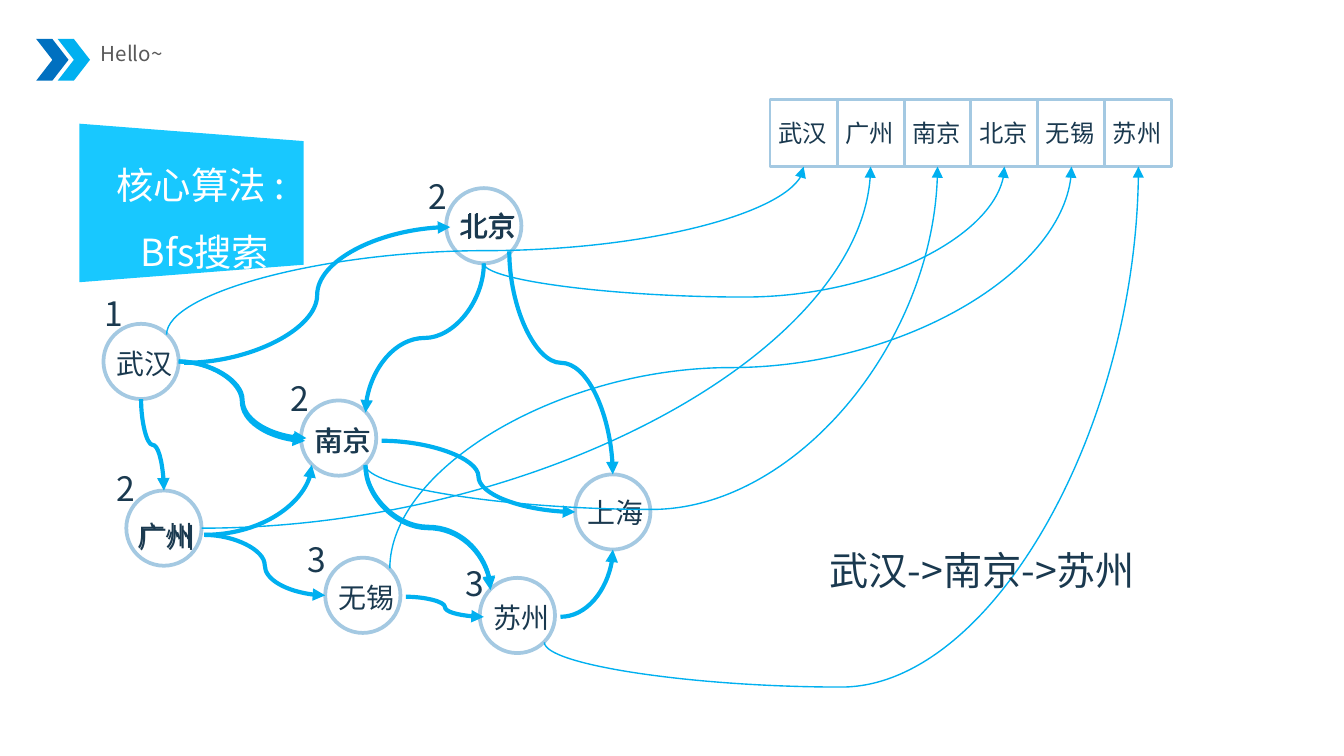
from lxml import etree
from pptx import Presentation
from pptx.dml.color import RGBColor
from pptx.enum.shapes import MSO_CONNECTOR, MSO_SHAPE
from pptx.enum.text import MSO_ANCHOR, MSO_AUTO_SIZE, PP_ALIGN
from pptx.oxml.ns import qn
from pptx.util import Inches, Pt

CURVE = MSO_CONNECTOR.CURVE
CHEVRON, OVAL, SQUARE = MSO_SHAPE.CHEVRON, MSO_SHAPE.OVAL, MSO_SHAPE.RECTANGLE
MIDDLE, LEFT, CENTER = MSO_ANCHOR.MIDDLE, PP_ALIGN.LEFT, PP_ALIGN.CENTER
FONT = "Noto Sans CJK SC"
COLORS = {"ink": "1A394F", "grey": "595959", "white": "FFFFFF", "outline": "A4C9E2",
          "arrow": "00B0F0", "chevron": "0070C0", "banner": "18C8FF"}

HEADING = "Hello~"
BANNER_LINES = ["核心算法 : ", "Bfs搜索"]
BANNER_CORNERS = [(0.59, 0.92), (2.26, 1.05), (2.26, 1.97), (0.59, 2.1)]
ROUTE = "武汉->南京->苏州"

# city: circle corner, label offset, step number, number offset
CITIES = {
    "南京": ((2.24, 2.98), (0.03, 0.13), "2", (-0.15, -0.21)),
    "上海": ((4.28, 3.53), (0.02, 0.12), None, None),
    "广州": ((0.94, 3.65), (0.01, 0.17), "2", (-0.14, -0.21)),
    "无锡": ((2.42, 4.15), (0.03, 0.13), "3", (-0.2, -0.18)),
    "苏州": ((3.57, 4.3), (0.03, 0.13), "3", (-0.18, -0.15)),
    "北京": ((3.32, 1.4), (0.03, 0.12), "2", (-0.2, -0.13)),
    "武汉": ((0.77, 2.41), (0.03, 0.13), "1", (-0.06, -0.27)),
}
CIRCLE = 0.56
EMPHASIS = {"南京": (0.04, 0.13), "广州": (0.03, 0.18), "北京": (0.04, 0.11)}

# start, end, first direction: "across", "down" or "corner"
ROADS = [
    ((1.33, 2.69), (2.27, 3.28), "across"),
    ((1.52, 3.98), (2.32, 3.46), "corner"),
    ((2.84, 3.28), (4.28, 3.81), "across"),
    ((1.37, 2.7), (3.35, 1.69), "across"),
    ((1.52, 3.98), (2.42, 4.43), "across"),
    ((3.6, 1.96), (2.72, 3.07), "down"),
    ((1.05, 2.97), (1.22, 3.65), "down"),
    ((3.02, 4.44), (3.6, 4.59), "across"),
    ((4.17, 4.59), (4.56, 4.09), "corner"),
    ((3.79, 1.87), (4.56, 3.53), "down"),
    ((2.72, 3.46), (3.65, 4.38), "down"),
]
CHOSEN_ROADS = [
    ((1.33, 2.69), (2.28, 3.26), "across"),
    ((2.72, 3.47), (3.65, 4.39), "down"),
]
# city, start of its arrow, first direction, bend as a percentage of the length
QUEUE = [
    ("武汉", (1.24, 2.49), "down", 50),
    ("广州", (1.5, 3.93), "corner", None),
    ("南京", (2.72, 3.46), "down", -14.9),
    ("北京", (3.6, 1.96), "down", -34.8),
    ("无锡", (2.9, 4.23), "down", 50),
    ("苏州", (4.05, 4.78), "down", -9.4),
]
QUEUE_LEFT, QUEUE_TOP, CELL = 5.73, 0.74, 0.5
PITCH = 2.49 / (len(QUEUE) - 1)


def rgb(name):
    return RGBColor.from_string(COLORS[name])


def write(shape, lines, size, color="ink", align=LEFT, wrap=False, spacing=None):
    frame = shape.text_frame
    frame.auto_size = MSO_AUTO_SIZE.NONE
    frame.word_wrap = wrap
    frame.vertical_anchor = MIDDLE
    frame.margin_left = frame.margin_right = Inches(0.07)
    frame.margin_top = frame.margin_bottom = Inches(0.04)
    for i, line in enumerate(lines):
        paragraph = frame.add_paragraph() if i else frame.paragraphs[0]
        paragraph.alignment = align
        if spacing:
            paragraph.line_spacing = Pt(spacing)
        run = paragraph.add_run()
        run.text = line
        run.font.size = Pt(size)
        run.font.name = FONT
        run.font.color.rgb = rgb(color)
        etree.SubElement(run.font._element, qn("a:ea"), typeface=FONT)


def add_label(slide, text, x, y, w, h, size, **style):
    box = slide.shapes.add_textbox(Inches(x), Inches(y), Inches(w), Inches(h))
    write(box, [text], size, **style)


def add_outline(slide, kind, x, y, side, width):
    shape = slide.shapes.add_shape(kind, Inches(x), Inches(y), Inches(side), Inches(side))
    shape.shadow.inherit = False
    shape.fill.background()
    shape.line.color.rgb = rgb("outline")
    shape.line.width = Pt(width)


def add_arrow(slide, start, end, direction, width=2.25, bend=50):
    """Curved arrow; one that leaves vertically is laid out sideways and rotated."""
    (x1, y1), (x2, y2) = start, end
    rotation = 0
    if direction == "down":
        turn = -1 if x2 > x1 and y2 > y1 else 1
        rotation = 90 * turn % 360
        mid_x, mid_y = (x1 + x2) / 2, (y1 + y2) / 2
        half_x, half_y = turn * (y2 - y1) / 2, -turn * (x2 - x1) / 2
        x1, y1 = mid_x - half_x, mid_y - half_y
        x2, y2 = mid_x + half_x, mid_y + half_y
    arrow = slide.shapes.add_connector(CURVE, Inches(x1), Inches(y1), Inches(x2), Inches(y2))
    arrow.line.color.rgb = rgb("arrow")
    arrow.line.width = Pt(width)
    properties = arrow._element.spPr
    if rotation:
        properties.find(qn("a:xfrm")).set("rot", str(rotation * 60000))
    geometry = properties.find(qn("a:prstGeom"))
    if direction == "corner":
        geometry.set("prst", "curvedConnector2")
    else:
        guides = geometry.find(qn("a:avLst"))
        if guides is None:
            guides = etree.SubElement(geometry, qn("a:avLst"))
        etree.SubElement(guides, qn("a:gd"), name="adj1", fmla=f"val {round(bend * 1000)}")
    etree.SubElement(properties.find(qn("a:ln")), qn("a:tailEnd"), type="triangle")
    etree.SubElement(properties, qn("a:effectLst"))


def add_header(slide):
    title = slide.shapes.title
    title.left, title.top = Inches(0.68), Inches(0.27)
    title.width, title.height = Inches(1.96), Inches(0.26)
    write(title, [HEADING], 11, color="grey", wrap=True)
    for x, color in [(0.27, "chevron"), (0.43, "arrow")]:
        chevron = slide.shapes.add_shape(
            CHEVRON, Inches(x), Inches(0.29), Inches(0.24), Inches(0.31))
        chevron.shadow.inherit = False
        chevron.fill.solid()
        chevron.fill.fore_color.rgb = rgb(color)
        chevron.line.fill.background()


def add_banner(slide):
    corners = [(Inches(x), Inches(y)) for x, y in BANNER_CORNERS]
    builder = slide.shapes.build_freeform(*corners[0])
    builder.add_line_segments(corners[1:], close=True)
    banner = builder.convert_to_shape()
    banner.shadow.inherit = False
    banner.fill.solid()
    banner.fill.fore_color.rgb = rgb("banner")
    banner.line.fill.background()
    write(banner, BANNER_LINES, 20, color="white", align=CENTER, wrap=True, spacing=36)
    frame = banner.text_frame
    frame.margin_left, frame.margin_right = Inches(0.2), 0
    frame.margin_top = Inches(0.1)


def add_city_name(slide, city, offset):
    x, y = CITIES[city][0]
    add_label(slide, city, x + offset[0], y + offset[1], 0.57, 0.33, 15)


def main():
    deck = Presentation()
    deck.slide_width = Inches(10)
    deck.slide_height = deck.slide_width * 9 // 16
    slide = deck.slides.add_slide(deck.slide_layouts[5])
    add_header(slide)
    add_banner(slide)

    for city, ((x, y), offset, _, _) in CITIES.items():
        add_outline(slide, OVAL, x, y, CIRCLE, 2)
        add_city_name(slide, city, offset)
    for road in ROADS:
        add_arrow(slide, *road)

    cells = [QUEUE_LEFT + i * PITCH for i in range(len(QUEUE))]
    for x in cells:
        add_outline(slide, SQUARE, x, QUEUE_TOP, CELL, 1.5)
    for x, (city, *_) in zip(cells, QUEUE):
        add_label(slide, city, x - 0.01, QUEUE_TOP + 0.1, 0.52, 0.29, 13)
    for (x, y), _, step, offset in CITIES.values():
        if step:
            add_label(slide, step, x + offset[0], y + offset[1], 0.46, 0.38, 18, wrap=True)
    for x, (_, start, direction, bend) in zip(cells, QUEUE):
        add_arrow(slide, start, (x + CELL / 2, QUEUE_TOP + CELL), direction, 0.75, bend)

    for road in CHOSEN_ROADS:
        add_arrow(slide, *road)
    add_label(slide, ROUTE, 6.1, 3.85, 2.61, 0.78, 21, wrap=True, spacing=25)
    for city, offset in EMPHASIS.items():
        add_city_name(slide, city, offset)
    deck.save("out.pptx")


if __name__ == "__main__":
    main()
